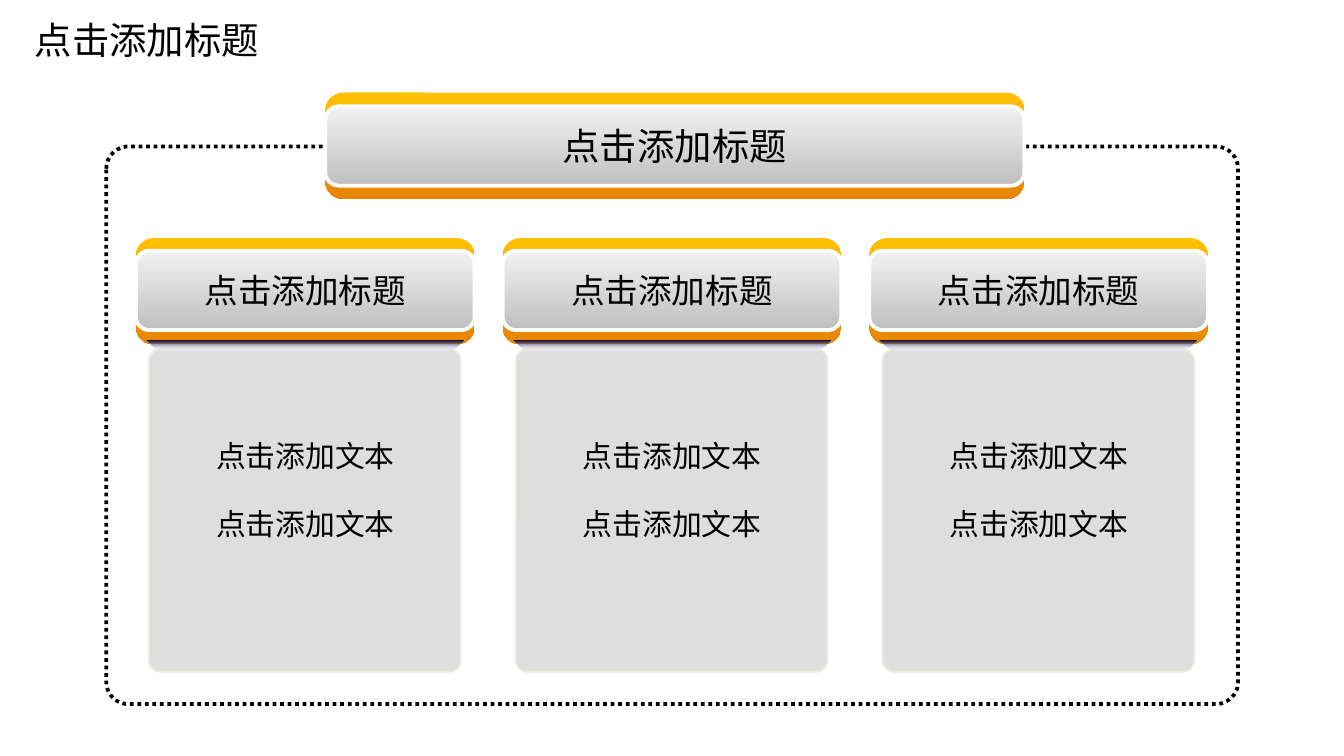
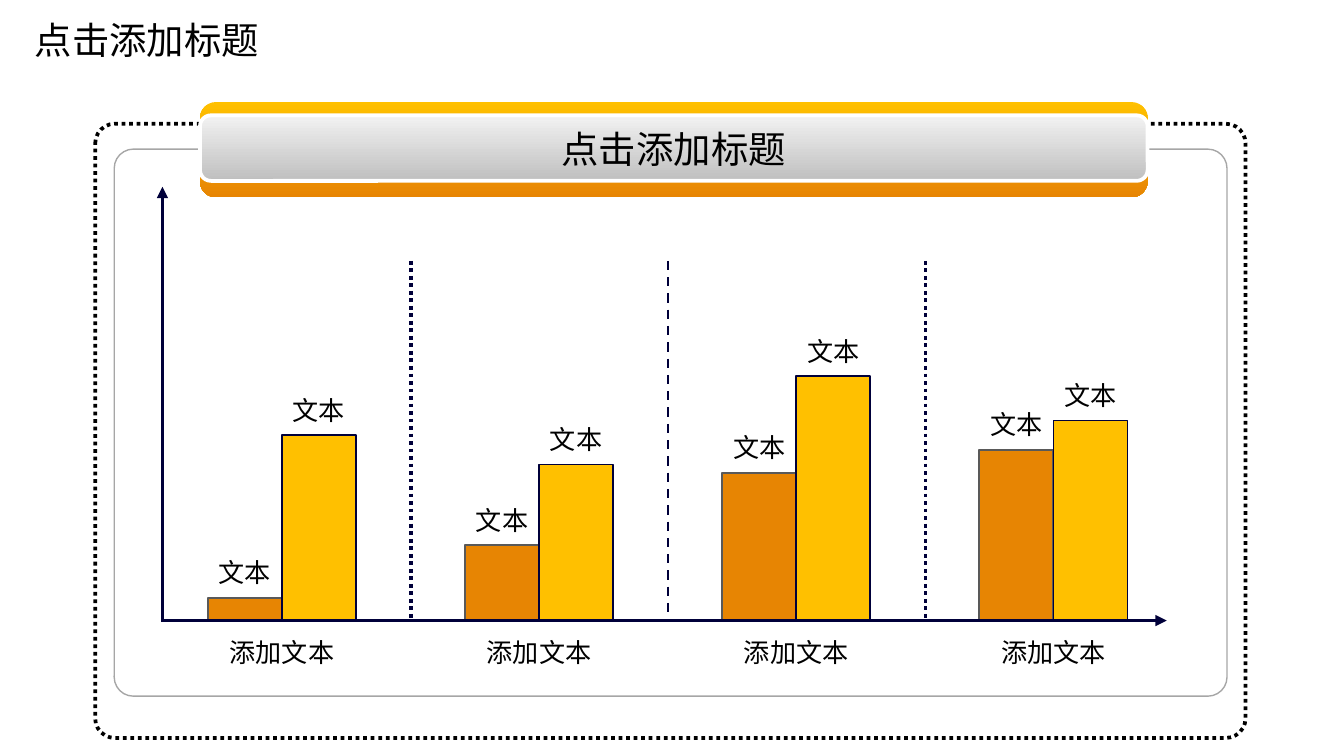
from dataclasses import dataclass

from lxml import etree
from pptx import Presentation
from pptx import util as u
from pptx.dml.color import RGBColor
from pptx.enum import dml, shapes, text
from pptx.oxml import ns

# Shared colours and fonts
BLACK, WHITE, NAVY = "000000", "FFFFFF", "00003A"
GOLD, ORANGE = "FFC000", "E78503"
SILVER, GREY = "F2F2F2", "BFBFBF"
CJK, LATIN = "Noto Sans CJK SC", "Calibri"
DOTS, DASHES = dml.MSO_LINE.ROUND_DOT, dml.MSO_LINE.DASH

HEADING = "点击添加标题"
BODY = "点击添加文本"


@dataclass(frozen=True)
class Area:
    """A rectangle in centimetres."""
    left: float
    top: float
    width: float
    height: float

    def lengths(self) -> list:
        return [u.Cm(n) for n in (self.left, self.top, self.width, self.height)]

    def centred(self, width: float, height: float) -> "Area":
        return Area(self.left + (self.width - width) / 2,
                    self.top + (self.height - height) / 2, width, height)


@dataclass(frozen=True)
class Banner:
    """A gold band with a silver face and a heading on it."""
    band: Area
    face_offset: float
    face_height: float
    label_width: float
    label_height: float
    size: int = 20
    inset: bool = True


@dataclass(frozen=True)
class BarPair:
    orange: float
    gold: float


def rgb(colour: str) -> RGBColor:
    return RGBColor.from_string(colour)


def set_alpha(fill_element, percent: int) -> None:
    """Set the opacity of the last colour inside a fill."""
    colour = list(fill_element.iter(ns.qn("a:srgbClr")))[-1]
    etree.SubElement(colour, ns.qn("a:alpha")).set("val", str(percent * 1000))


def set_line(line, colour: str, width: float, dash=None) -> None:
    line.color.rgb = rgb(colour)
    line.width = u.Pt(width)
    if dash is not None:
        line.dash_style = dash


def set_gradient(shape, start: str, end: str) -> None:
    """Fill from top to bottom."""
    shape.fill.gradient()
    shape.fill.gradient_angle = 270
    for stop, colour in zip(shape.fill.gradient_stops, (start, end)):
        stop.color.rgb = rgb(colour)


def add_panel(page, area: Area, corner: float = 0, fill: str = "", alpha: int = 100,
              gradient: tuple = (), line: str = "", width: float = 1, dash=None):
    kind = shapes.MSO_SHAPE.ROUNDED_RECTANGLE if corner else shapes.MSO_SHAPE.RECTANGLE
    panel = page.shapes.add_shape(kind, *area.lengths())
    panel.shadow.inherit = False
    if corner:
        panel.adjustments[0] = corner
    if gradient:
        set_gradient(panel, *gradient)
    elif fill:
        panel.fill.solid()
        panel.fill.fore_color.rgb = rgb(fill)
        if alpha < 100:
            set_alpha(panel._element.spPr.find(ns.qn("a:solidFill")), alpha)
    else:
        panel.fill.background()
    if line:
        set_line(panel.line, line, width, dash)
    else:
        panel.line.fill.background()
    return panel


def add_text(page, words: str, area: Area, size: int = 20, font: str = CJK,
             wrap: bool = False, inset: bool = True) -> None:
    box = page.shapes.add_textbox(*area.lengths())
    frame = box.text_frame
    frame.word_wrap = wrap
    frame.auto_size = text.MSO_AUTO_SIZE.SHAPE_TO_FIT_TEXT
    frame.vertical_anchor = text.MSO_ANCHOR.MIDDLE
    if not inset:
        frame.margin_left = frame.margin_right = 0
        frame.margin_top = frame.margin_bottom = 0
    para = frame.paragraphs[0]
    para.alignment = text.PP_ALIGN.CENTER
    span = para.add_run()
    span.text = words
    span.font.size = u.Pt(size)
    span.font.color.rgb = rgb(BLACK)
    span.font.name = font
    east_asian = etree.SubElement(span._r.get_or_add_rPr(), ns.qn("a:ea"))
    east_asian.set("typeface", CJK)


def add_line(page, start: tuple, end: tuple, width: float = 2, dash=None,
             arrow: str = "") -> None:
    """Draw a navy line; arrow is "headEnd", "tailEnd" or empty."""
    points = [u.Cm(n) for n in (*start, *end)]
    line = page.shapes.add_connector(shapes.MSO_CONNECTOR.STRAIGHT, *points)
    set_line(line.line, NAVY, width, dash)
    if arrow:
        tip = etree.SubElement(line.line._get_or_add_ln(), ns.qn(f"a:{arrow}"))
        tip.set("type", "triangle")
    etree.SubElement(line._element.spPr, ns.qn("a:effectLst"))


def add_banner(page, banner: Banner) -> None:
    band = banner.band
    face = Area(band.left, band.top + banner.face_offset, band.width, banner.face_height)
    add_panel(page, band, corner=0.167, gradient=(GOLD, ORANGE))
    add_panel(page, face, corner=0.167, gradient=(SILVER, GREY), line=WHITE, width=2)
    add_text(page, HEADING, face.centred(banner.label_width, banner.label_height),
             size=banner.size, inset=banner.inset)


def add_frame(page, area: Area, corner: float) -> None:
    add_panel(page, area, corner=corner, line=BLACK, width=2, dash=DOTS)


def add_title(page) -> None:
    add_text(page, HEADING, Area(0.15, 0.18, 5.26, 1.12), wrap=True)


def add_fold(page, area: Area, slant: float) -> None:
    """Draw the fading shade under a card heading."""
    right, bottom = area.left + area.width, area.top + area.height
    corners = [(area.left, area.top), (area.left + slant, bottom),
               (right - slant, bottom), (right, area.top)]
    points = [(u.Cm(x), u.Cm(y)) for x, y in corners]
    builder = page.shapes.build_freeform(*points[0], scale=1.0)
    builder.add_line_segments(points[1:], close=True)
    fold = builder.convert_to_shape()
    fold.shadow.inherit = False
    set_gradient(fold, NAVY, WHITE)
    set_alpha(fold._element.spPr.find(ns.qn("a:gradFill")), 0)
    fold.line.fill.background()


def add_card(page, left: float) -> None:
    add_panel(page, Area(left + 0.25, 6.6, 5.89, 6.1), corner=0.037,
              fill="D9D9D9", alpha=85, line="EEECE1")
    for top in (8.26, 9.55):
        add_text(page, BODY, Area(left + 1.02, top, 4.37, 0.69),
                 size=16, wrap=True, inset=False)
    add_banner(page, Banner(Area(left, 4.5, 6.4, 2.01), 0.24, 1.5, 3.84, 0.76,
                            size=18, inset=False))
    add_fold(page, Area(left + 0.2, 6.43, 5.99, 0.2), slant=0.22)


def build_cards(page) -> None:
    add_frame(page, Area(2.01, 2.77, 21.39, 10.54), corner=0.04)
    add_banner(page, Banner(Area(6.15, 1.75, 13.21, 2.01), 0.26, 1.5, 4.8, 1.12))
    for column in range(3):
        add_card(page, 2.57 + 6.93 * column)
    add_title(page)


# Bar diagram geometry
BASE = 11.73
FIRST, STEP, BAR = 3.93, 4.86, 1.4
PAIRS = [BarPair(0.43, 3.5), BarPair(1.42, 2.95),
         BarPair(2.79, 4.62), BarPair(3.23, 3.78)]


def add_bar(page, left: float, height: float, fill: str, line: str) -> None:
    bar = Area(left, BASE - height, BAR, height)
    add_panel(page, bar, fill=fill, line=line)
    label = Area(left + (BAR - 1.52) / 2, bar.top - 0.91, 1.52, 0.86)
    add_text(page, "文本", label, size=14, font=LATIN)


def build_bars(page) -> None:
    add_panel(page, Area(2.16, 2.82, 21.03, 10.34), corner=0.035,
              fill=WHITE, alpha=90, line="A6A6A6", width=0.75)

    # Dividers between the groups
    for group, (width, dash) in enumerate([(2, DOTS), (1.25, DASHES), (2, DOTS)]):
        x = FIRST + 3.84 + STEP * group
        add_line(page, (x, 4.93), (x, BASE), width=width, dash=dash)

    # Bars with their labels
    for group, pair in enumerate(PAIRS):
        left = FIRST + STEP * group
        add_text(page, "添加文本", Area(left + BAR - 1.26, 11.89, 2.52, 0.86),
                 size=14, font=LATIN)
        add_bar(page, left, pair.orange, ORANGE, "595959")
        add_bar(page, left + BAR, pair.gold, GOLD, NAVY)

    # Axes
    add_line(page, (3.07, 3.53), (3.07, BASE), arrow="headEnd")
    add_line(page, (3.05, BASE), (22.05, BASE), arrow="tailEnd")

    add_frame(page, Area(1.8, 2.34, 21.74, 11.61), corner=0.032)
    add_banner(page, Banner(Area(3.78, 1.93, 17.91, 1.8), 0.25, 1.24, 4.8, 1.12))
    add_title(page)


def main() -> None:
    deck = Presentation()
    deck.slide_width, deck.slide_height = u.Cm(25.4), u.Cm(14.29)
    for build in (build_cards, build_bars):
        page = deck.slides.add_slide(deck.slide_layouts[6])
        page.background.fill.solid()
        page.background.fill.fore_color.rgb = rgb(WHITE)
        build(page)
    deck.save("out.pptx")


if __name__ == "__main__":
    main()
